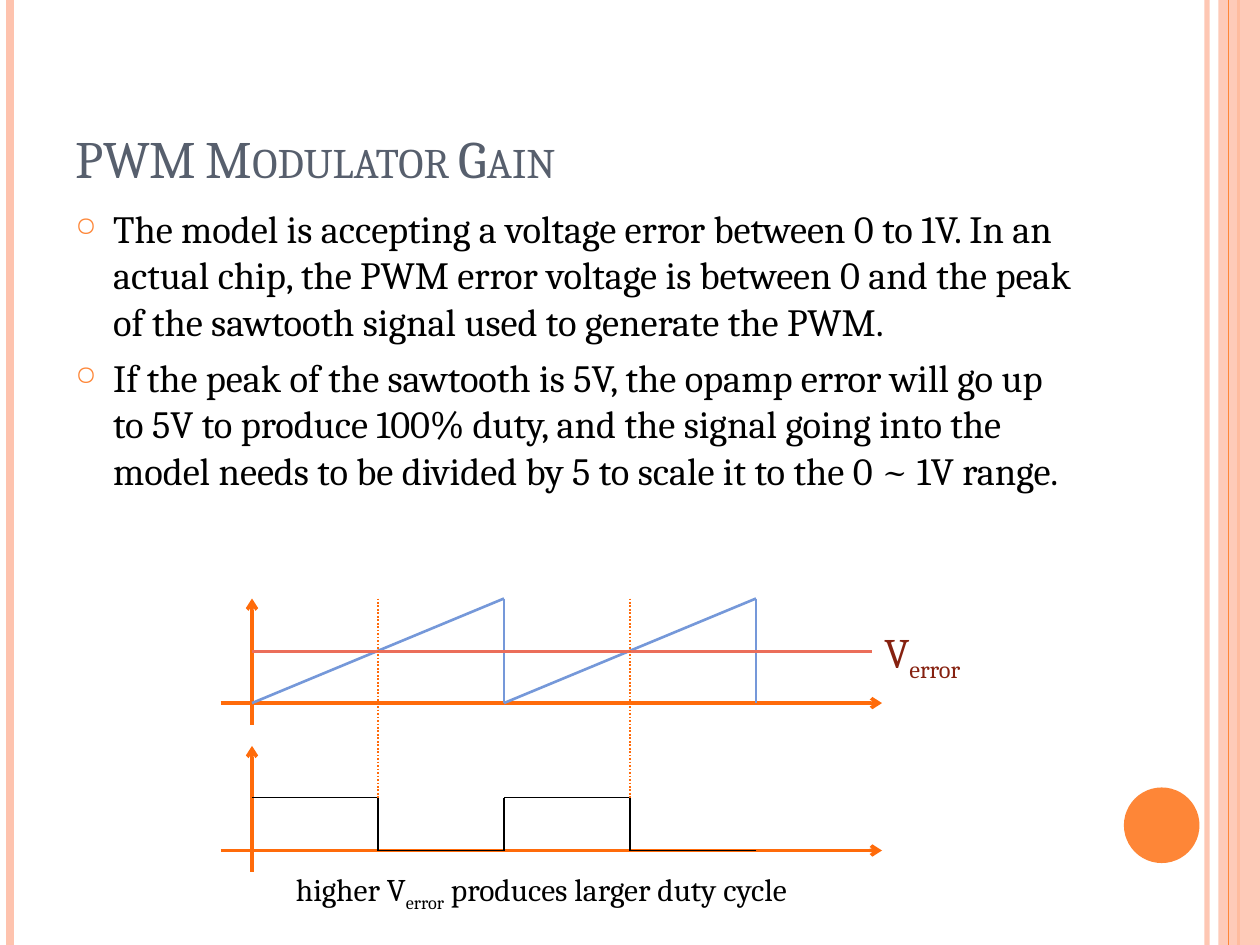
from lxml import etree
from pptx import Presentation
from pptx import util as u
from pptx.dml.color import RGBColor
from pptx.enum import dml, shapes, text
from pptx.oxml import ns

theme = {
    "face": "Cambria",
    "pale": "FEC3AE", "main": "FE8637", "axis": "FF6B0A", "saw": "7598D9",
    "level": "EB6E5A", "ink": "000000", "head": "575F6D", "label": "862110",
    "title": 30, "body": 22, "sign": 24, "note": 18,
}
UNIT = 2.54

deck = Presentation()
deck.slide_width, deck.slide_height = u.Cm(10 * UNIT), u.Cm(7.5 * UNIT)
slide = deck.slides.add_slide(deck.slide_layouts[6])


def draw(x1, y1, x2, y2, tint, width, dash=None, arrow=False, alpha=None):
    ends = [u.Cm(v * UNIT) for v in (x1, y1, x2, y2)]
    line = slide.shapes.add_connector(shapes.MSO_CONNECTOR.STRAIGHT, *ends)
    line.line.color.rgb = RGBColor.from_string(theme[tint])
    for key, val in {"width": u.Pt(width), "dash_style": dash}.items():
        setattr(line.line, key, val)
    pen = line.line._get_or_add_ln()
    if arrow:
        etree.SubElement(pen, ns.qn("a:tailEnd"), type="arrow")
    if alpha:
        tone = pen.find(".//" + ns.qn("a:srgbClr"))
        etree.SubElement(tone, ns.qn("a:alpha"), val=str(alpha * 1000))
    etree.SubElement(line._element.spPr, ns.qn("a:effectLst"))


def write(left, top, width, height, paras, size, tint, anchor="TOP"):
    box = slide.shapes.add_textbox(*[u.Cm(v * UNIT) for v in (left, top, width, height)])
    frame = box.text_frame
    form = {"word_wrap": True, "vertical_anchor": getattr(text.MSO_ANCHOR, anchor)}
    for key, val in form.items():
        setattr(frame, key, val)
    for i, parts in enumerate(paras):
        para = frame.paragraphs[0] if i == 0 else frame.add_paragraph()
        for part, base in parts:
            run = para.add_run()
            run.text = part
            look = {"name": theme["face"], "size": u.Pt(theme[size])}
            for key, val in look.items():
                setattr(run.font, key, val)
            run.font.color.rgb = RGBColor.from_string(theme[tint])
            if base:
                run.font._element.set("baseline", str(base * 1000))
    return frame


draw(9.58, 0, 9.58, 7.5, "pale", 3, alpha=93)
draw(0.08, 0, 0.08, 7.5, "pale", 4.5)
draw(9.83, 0, 9.83, 7.5, "main", 1.5)
for kind, spot, tint, alpha in (
    ("RECTANGLE", (9.67, 0, 0.33, 7.5), "pale", 87),
    ("OVAL", (8.92, 6.25, 0.6, 0.6), "main", 100),
):
    if kind == "OVAL":
        draw(9.75, 0, 9.75, 7.5, "main", 0.75)
    shape = slide.shapes.add_shape(
        getattr(shapes.MSO_SHAPE, kind), *[u.Cm(v * UNIT) for v in spot])
    shape.shadow.inherit = False
    shape.fill.solid()
    shape.fill.fore_color.rgb = RGBColor.from_string(theme[tint])
    shape.line.fill.background()
    tone = shape._element.spPr.find(".//" + ns.qn("a:srgbClr"))
    etree.SubElement(tone, ns.qn("a:alpha"), val=str(alpha * 1000))

title = write(0.5, 0.3, 8.17, 1.25, [[("PWM Modulator Gain", 0)]], "title", "head", "BOTTOM")
title.paragraphs[0].runs[0].font._element.set("cap", "small")

body = write(0.5, 1.58, 8.17, 5.5, [
    [("The model is accepting a voltage error between 0 to 1V. In an actual chip, "
      "the PWM error voltage is between 0 and the peak of the sawtooth signal used "
      "to generate the PWM.", 0)],
    [("If the peak of the sawtooth is 5V, the opamp error will go up to 5V to produce "
      "100% duty, and the signal going into the model needs to be divided by 5 to "
      "scale it to the 0 ~ 1V range.", 0)],
], "body", "ink")
for para in body.paragraphs:
    para.space_before = u.Pt(6)
    prop = para._p.get_or_add_pPr()
    dent = u.Cm(0.3 * UNIT)
    for key, val in {"marL": dent, "indent": -dent}.items():
        prop.set(key, str(val))
    tone = etree.SubElement(prop, ns.qn("a:buClr"))
    etree.SubElement(tone, ns.qn("a:srgbClr"), val=theme["main"])
    etree.SubElement(prop, ns.qn("a:buSzPct"), val="70000")
    etree.SubElement(prop, ns.qn("a:buChar"), char="○")

peak, level, zero, high, low = 4.75, 5.17, 5.58, 6.33, 6.75

draw(2, 5.75, 2, peak, "axis", 2, arrow=True)
draw(1.75, zero, 7, zero, "axis", 2, arrow=True)
for x in (2, 4):
    draw(x, zero, x + 2, peak, "saw", 1.5)
    draw(x + 2, zero, x + 2, peak, "saw", 1.5)
draw(6.92, level, 2, level, "level", 1.5)

draw(1.75, low, 7, low, "axis", 2, arrow=True)
draw(2, 6.92, 2, 5.92, "axis", 2, arrow=True)
for x in (2, 4):
    draw(x + 1, high, x, high, "ink", 1)
    draw(x + 2, low, x + 1, low, "ink", 1)
for x in (3, 4, 5):
    draw(x, low, x, high, "ink", 1)

write(6.92, 4.92, 1.83, 0.5, [[("V", 0), ("error", -25)]], "sign", "label")
for x in (3, 5):
    draw(x, peak, x, high, "axis", 1, dash=dml.MSO_LINE.ROUND_DOT)
write(2.25, 6.86, 6.17, 0.4, [
    [("higher V", 0), ("error", -25), (" produces larger duty cycle", 0)],
], "note", "ink")

deck.save("out.pptx")
